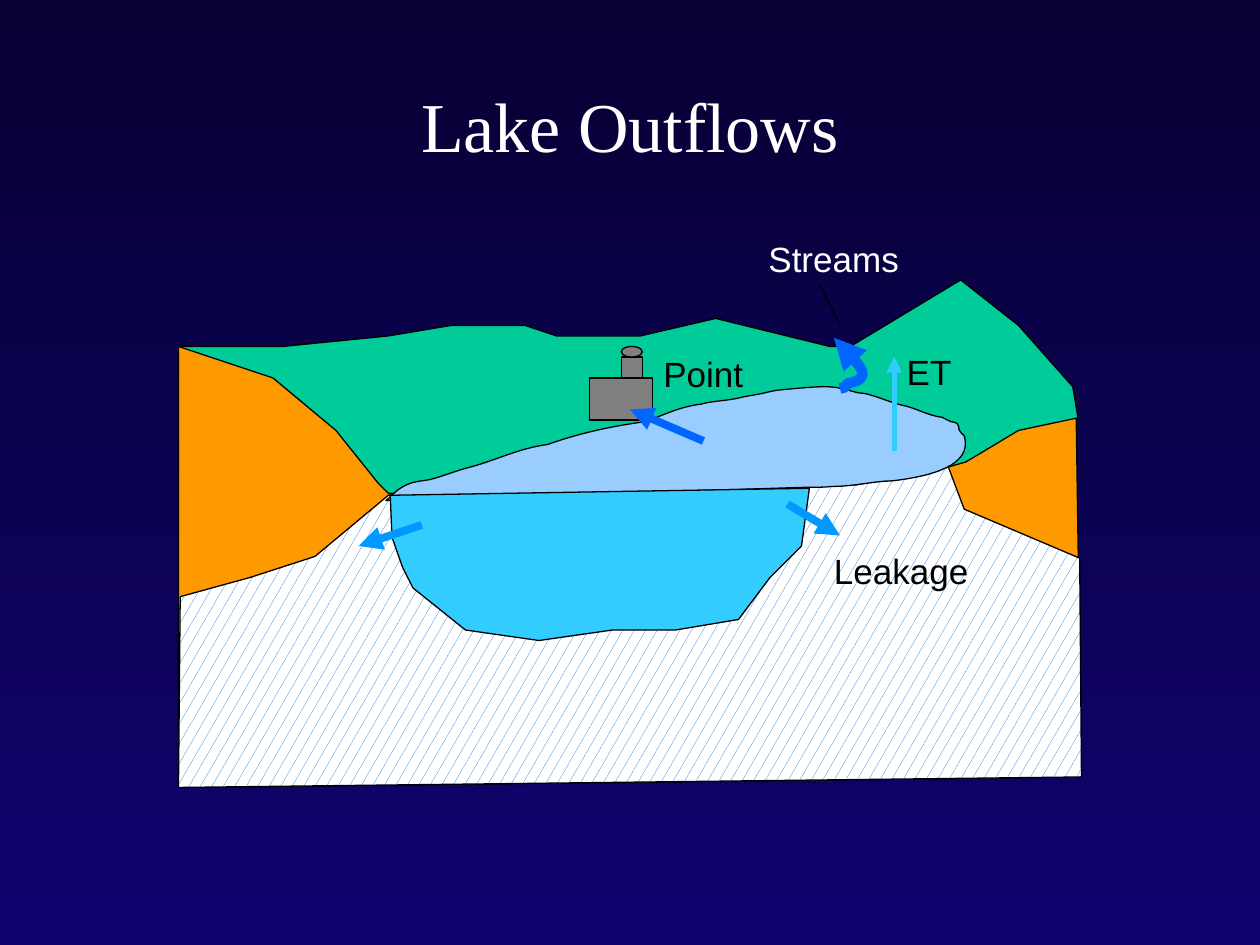
from typing import NamedTuple

from lxml import etree
from pptx import Presentation
from pptx.dml.color import RGBColor
from pptx.enum.dml import MSO_PATTERN
from pptx.enum.shapes import MSO_CONNECTOR, MSO_SHAPE
from pptx.enum.text import MSO_ANCHOR, MSO_AUTO_SIZE, PP_ALIGN
from pptx.oxml.ns import qn
from pptx.util import Pt

CONFETTI = MSO_PATTERN.SMALL_CONFETTI
STRAIGHT = MSO_CONNECTOR.STRAIGHT
RECTANGLE, OVAL = MSO_SHAPE.RECTANGLE, MSO_SHAPE.OVAL
MIDDLE, CENTER = MSO_ANCHOR.MIDDLE, PP_ALIGN.CENTER
FIT_SHAPE, NO_FIT = MSO_AUTO_SIZE.SHAPE_TO_FIT_TEXT, MSO_AUTO_SIZE.NONE

COLORS = {
    "sky_top": "070133", "sky_bottom": "10036F", "hills": "00CC99",
    "soil": "FF9900", "hatch": "0066CC", "surface": "99CCFF",
    "water": "33CCFF", "outflow": "0066FF", "leakage": "0099FF",
    "building": "808080", "black": "000000", "white": "FFFFFF",
}
Points = list[tuple[float, float]]


class Region(NamedTuple):
    points: Points
    fill: str


class Block(NamedTuple):
    kind: int
    left: float
    top: float
    width: float
    height: float


class Flow(NamedTuple):
    start: tuple[float, float]
    end: tuple[float, float]
    color: str
    weight: float
    arrow: bool = True


class Label(NamedTuple):
    text: str
    left: float
    top: float
    width: float
    height: float = 31
    color: str = "black"
    size: float = 20
    font: str = "Arial"
    title: bool = False


HILLS = Region([
    (102, 198), (162, 198), (222, 192), (258, 186), (300, 186), (318, 192),
    (366, 192), (409, 182), (474, 198), (486, 198), (549, 160), (582, 186),
    (613, 221), (616, 239), (576, 252), (543, 269), (516, 279), (486, 282),
    (461, 279), (222, 288), (206, 276), (192, 258), (162, 228), (126, 210),
], "hills")
SOIL = Region([
    (102, 450), (102, 198), (156, 216), (192, 246), (216, 276), (222, 282),
    (462, 276), (510, 276), (552, 264), (582, 246), (615, 239), (618, 444),
], "soil")
BEDROCK = Region([
    (222, 283), (461, 278), (490, 277), (542, 267), (551, 291), (617, 319),
    (618, 444), (102, 450), (103, 341), (143, 330), (180, 318),
], "hatch")
BASIN = Region([
    (223, 283), (462.5, 279), (458, 312), (440, 330), (422, 354), (386, 360),
    (350, 360), (308, 366), (266, 360), (236, 336), (230, 324), (224, 307),
], "water")

# Curved outlines: a start point, then three control points per curve
SURFACE = Region([
    (220.5, 286),
    (224, 283.5), (227, 279.5), (230.5, 278),
    (235.5, 275), (241, 275), (246, 274),
    (253.5, 272), (260.5, 269), (268.5, 267),
    (283.5, 263), (297, 256), (313, 254),
    (331, 247.5), (350, 243.5), (368.5, 241),
    (380, 237), (388, 232.5), (400.5, 231),
    (407, 229), (417, 229), (424, 227),
    (428.5, 226), (433, 225.5), (437, 224.5),
    (439, 224), (444, 223), (444, 223),
    (450, 222.5), (463.5, 221), (471, 221),
    (479, 221), (482.5, 222.5), (490.5, 224.5),
    (497.5, 224.5), (509, 230.5), (517.5, 232),
    (525, 234), (530.5, 237.5), (538.5, 238.5),
    (540, 239), (541.5, 240.5), (543.5, 241),
    (544.5, 241), (546.5, 241.5), (547, 242),
    (548, 243.5), (548, 244.5), (548, 245.5),
    (548.5, 247), (550, 248), (551, 249),
    (556.5, 267), (528.5, 272), (516, 274),
    (512.5, 274.5), (509, 275), (505.5, 275),
    (494, 276), (486.5, 278), (475, 278),
    (472.5, 278.5), (463, 278.5), (459.5, 278.5),
], "surface")
STREAM = [
    (476.5, 193),
    (478, 196.5), (481.5, 203), (487.5, 205),
    (492.5, 210), (497.5, 217), (484.5, 219),
    (482, 222), (484, 221), (480, 222),
]

BUILDING = [Block(RECTANGLE, 355, 204, 12, 24), Block(RECTANGLE, 337, 216, 36, 24),
            Block(OVAL, 355, 198, 12, 6)]
SURFACE_FLOWS = [Flow((402, 252), (360, 234), "outflow", 4.5),
                 Flow((511, 258), (511, 204), "water", 3)]
LEAKS = [Flow((450, 288), (480, 306), "leakage", 4.5),
         Flow((241, 300), (205, 312), "leakage", 4.5)]
STREAM_POINTER = Flow((468, 162), (480, 186), "black", 0.75, arrow=False)
TITLE = Label("Lake Outflows", 54, 26, 612, 90, "white", 40, "Times New Roman", True)
LABELS = [Label("ET", 511, 197, 40.5), Label("Leakage", 469.5, 310.5, 91.5),
          Label("Streams", 432, 132, 89.5, color="white"),
          Label("Point", 372, 198, 60.5)]


def rgb(name: str) -> RGBColor:
    return RGBColor.from_string(COLORS[name])


def set_line(shape, color: str = "black", weight: float = 0.75) -> None:
    shape.line.color.rgb = rgb(color)
    shape.line.width = Pt(weight)


def add_arrowhead(shape, end: str = "a:tailEnd") -> None:
    etree.SubElement(shape.line._get_or_add_ln(), qn(end), type="triangle")


def draw_outline(slide, points: Points, close: bool = True, curved: bool = False):
    (x, y), *rest = [(Pt(px), Pt(py)) for px, py in points]
    builder = slide.shapes.build_freeform(x, y)
    builder.add_line_segments(rest, close=close)
    shape = builder.convert_to_shape()
    shape.shadow.inherit = False
    if curved:
        segments = list(shape._element.iter(qn("a:lnTo")))
        for i in range(0, len(rest), 3):
            first, *others = segments[i:i + 3]
            curve = etree.Element(qn("a:cubicBezTo"))
            first.addprevious(curve)
            for segment in (first, *others):
                curve.append(segment[0])
                segment.getparent().remove(segment)
    return shape


def draw_region(slide, region: Region, curved: bool = False) -> None:
    shape = draw_outline(slide, region.points, curved=curved)
    if region.fill == "hatch":
        shape.fill.patterned()
        shape.fill.pattern = CONFETTI
        shape.fill.fore_color.rgb = rgb("hatch")
        shape.fill.back_color.rgb = rgb("white")
    else:
        shape.fill.solid()
        shape.fill.fore_color.rgb = rgb(region.fill)
    set_line(shape)


def draw_stream(slide) -> None:
    shape = draw_outline(slide, STREAM, close=False, curved=True)
    shape.fill.background()
    set_line(shape, "outflow", 6)
    add_arrowhead(shape, "a:headEnd")


def draw_block(slide, block: Block) -> None:
    shape = slide.shapes.add_shape(block.kind, *map(Pt, block[1:]))
    shape.shadow.inherit = False
    shape.fill.solid()
    shape.fill.fore_color.rgb = rgb("building")
    set_line(shape)


def draw_flow(slide, flow: Flow) -> None:
    line = slide.shapes.add_connector(STRAIGHT, *map(Pt, flow.start + flow.end))
    set_line(line, flow.color, flow.weight)
    if flow.arrow:
        add_arrowhead(line)
    etree.SubElement(line._element.spPr, qn("a:effectLst"))


def draw_label(slide, label: Label) -> None:
    frame = slide.shapes.add_textbox(*map(Pt, label[1:5])).text_frame
    frame.word_wrap = label.title
    frame.auto_size = NO_FIT if label.title else FIT_SHAPE
    paragraph = frame.paragraphs[0]
    if label.title:
        frame.vertical_anchor = MIDDLE
        paragraph.alignment = CENTER
    run = paragraph.add_run()
    run.text = label.text
    run.font.name, run.font.size = label.font, Pt(label.size)
    run.font.color.rgb = rgb(label.color)


def main() -> None:
    prs = Presentation()
    prs.slide_width, prs.slide_height = Pt(720), Pt(540)
    slide = prs.slides.add_slide(prs.slide_layouts[6])

    # Night-blue background, dark at the top
    sky = slide.background.fill
    sky.gradient()
    sky.gradient_angle = 270
    for stop, name, position in zip(sky.gradient_stops, ("sky_top", "sky_bottom"), (0, 1)):
        stop.color.rgb = rgb(name)
        stop.position = position

    # Title and landscape
    draw_label(slide, TITLE)
    for region in (HILLS, SOIL, BEDROCK):
        draw_region(slide, region)
    draw_region(slide, SURFACE, curved=True)

    # Outflows above the lake, with their labels
    draw_stream(slide)
    for block in BUILDING:
        draw_block(slide, block)
    for flow in SURFACE_FLOWS:
        draw_flow(slide, flow)
    for label in LABELS:
        draw_label(slide, label)

    # Lake basin and leakage
    draw_region(slide, BASIN)
    for flow in (*LEAKS, STREAM_POINTER):
        draw_flow(slide, flow)

    prs.save("out.pptx")


if __name__ == "__main__":
    main()
